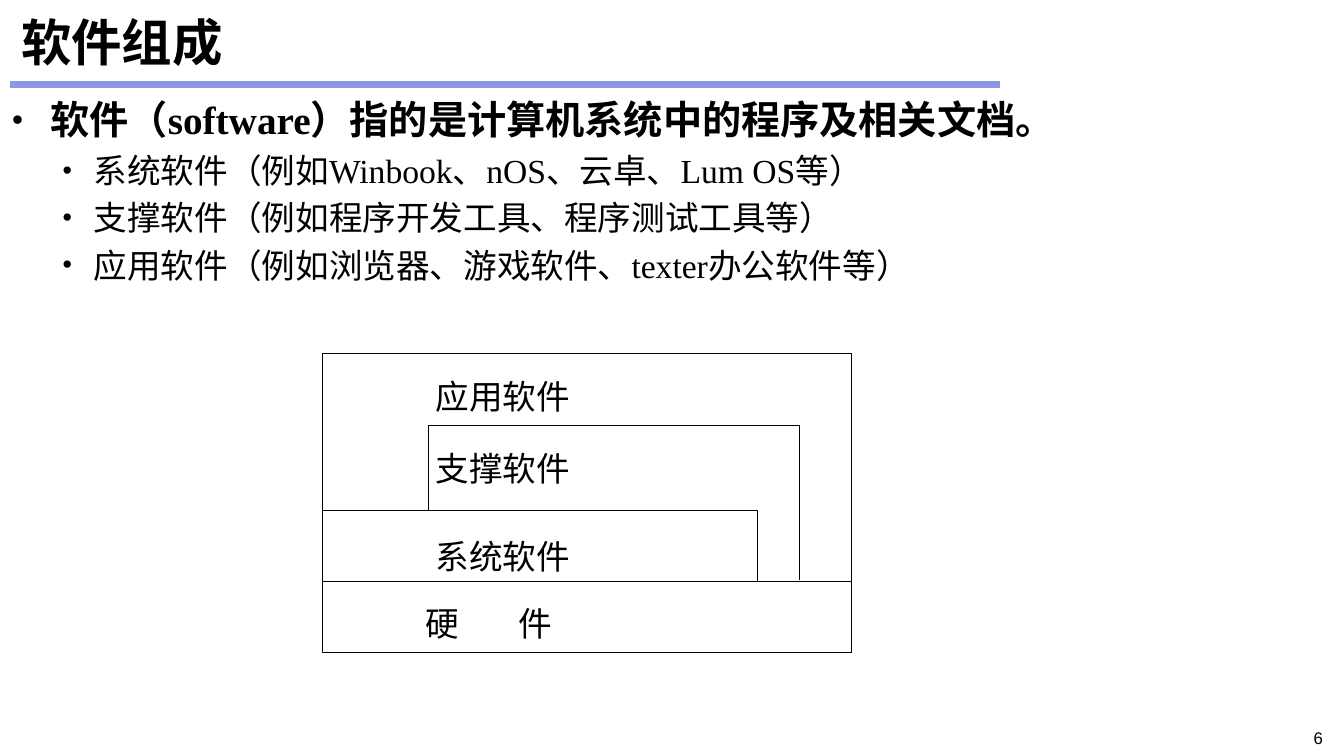
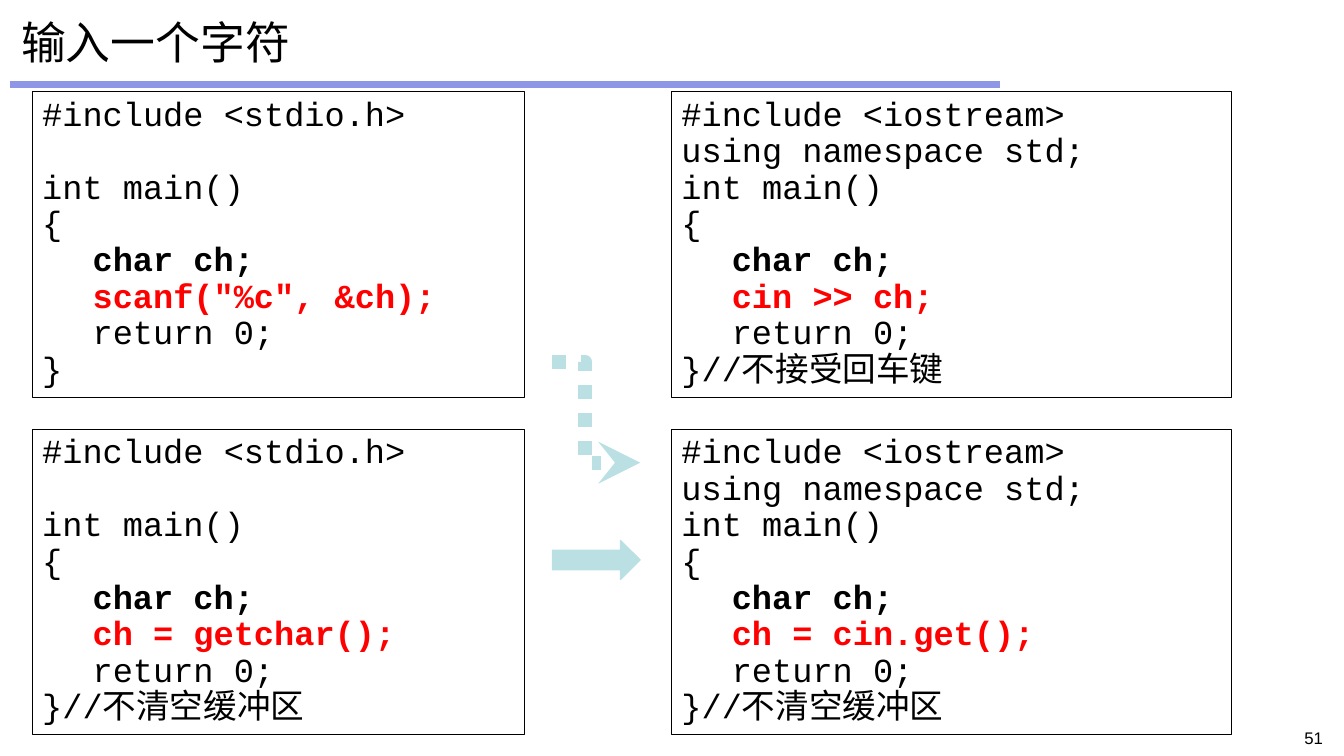
from lxml import etree
from pptx import Presentation
from pptx.dml.color import RGBColor
from pptx.enum.dml import MSO_LINE
from pptx.enum.shapes import MSO_CONNECTOR as Connector, MSO_SHAPE as Shape
from pptx.enum.text import MSO_ANCHOR as Anchor, PP_ALIGN as Align
from pptx.oxml.ns import qn
from pptx.util import Inches, Pt

# Shared look
BLACK, RED, RULE, ARROW = "000000", "FF0000", "8D97E5", "BBE0E3"
SERIF, SANS, LABEL, CODE = "Times New Roman", "Arial", "Montserrat", "Courier New"


def colour(value):
    return RGBColor.from_string(value)


def add_xml(parent, tag, **attributes):
    return etree.SubElement(parent, qn(tag), attributes)


def format_text(para, size, font, bold=False, hue=BLACK):
    for span in para.runs:
        span.font.size, span.font.name, span.font.bold = Pt(size), font, bold
        span.font.color.rgb = colour(hue)


def set_insets(frame, across, down):
    frame.margin_left = frame.margin_right = Inches(across)
    frame.margin_top = frame.margin_bottom = Inches(down)


# Elements
def add_line(page, start, end, hue=BLACK, width=0.75, kind=Connector.STRAIGHT):
    line = page.shapes.add_connector(kind, *map(Inches, start + end))
    line.line.color.rgb = colour(hue)
    line.line.width = Pt(width)
    add_xml(line._element.spPr, "a:effectLst")
    return line


def add_block(page, area, kind=Shape.RECTANGLE, fill=None, hue=BLACK):
    block = page.shapes.add_shape(kind, *map(Inches, area))
    block.shadow.inherit = False
    if fill:
        block.fill.solid()
        block.fill.fore_color.rgb = colour(fill)
    else:
        block.fill.background()
    block.line.color.rgb = colour(hue)
    block.line.width = Pt(0.75)
    return block


def add_text(page, area, text, size, font, align=Align.LEFT):
    box = page.shapes.add_textbox(*map(Inches, area))
    box.text_frame.word_wrap = True
    box.text_frame.text = text
    para = box.text_frame.paragraphs[0]
    para.alignment = align
    format_text(para, size, font)
    return para


def add_page(deck, title, number, size, bold=False):
    page = deck.slides.add_slide(deck.slide_layouts[5])
    add_line(page, (0.1, 0.84), (9.92, 0.84), RULE, 4.5)
    head = page.shapes.title
    head.left, head.top, head.width, head.height = map(Inches, (0.11, 0.08, 13.11, 0.67))
    frame = head.text_frame
    frame.text = title
    frame.vertical_anchor = Anchor.MIDDLE
    set_insets(frame, 0.1, 0.05)
    frame.paragraphs[0].alignment = Align.LEFT
    format_text(frame.paragraphs[0], size, SERIF, bold)
    add_text(page, (11.91, 7.17, 1.31, 0.25), str(number), 12, SANS, Align.RIGHT)
    return page


def add_bullets(page, area, heading, items):
    frame = page.shapes.add_textbox(*map(Inches, area)).text_frame
    frame.word_wrap = True
    set_insets(frame, 0.02, 0.01)
    frame.text = "\n".join([heading, *items])
    for index, para in enumerate(frame.paragraphs):
        indent, hang, size = (0.81, 0.31, 24) if index else (0.38, 0.38, 28)
        props = para._p.get_or_add_pPr()
        props.set("marL", str(Inches(indent)))
        props.set("indent", str(-Inches(hang)))
        add_xml(props, "a:buSzPct", val="80000")
        add_xml(props, "a:buFont", typeface=SANS)
        add_xml(props, "a:buChar", char="•")
        if index:
            para.level = 1
            para.space_before = Pt(5)
        format_text(para, size, SERIF, bold=index == 0)


def add_code(page, area, header, statement, ending):
    frame = add_block(page, area).text_frame
    frame.word_wrap = True
    frame.vertical_anchor = Anchor.TOP
    declaration, statement = "\tchar ch;", "\t" + statement
    frame.text = "\n".join([*header, "int main()", "{", declaration, statement,
                            "\treturn 0;", "}" + ending])
    for para in frame.paragraphs:
        para.alignment = Align.LEFT
        para.line_spacing = Pt(26)
        format_text(para, 24, CODE, para.text in (declaration, statement),
                    RED if para.text == statement else BLACK)
    if len(header) == 1:  # one line of air after a lone include
        frame.paragraphs[1].space_before = Pt(26)


# Slides
def add_software_page(deck):
    page = add_page(deck, "软件组成", 6, 36, bold=True)
    add_bullets(page, (0.1, 0.94, 13.12, 6.51),
                "软件（software）指的是计算机系统中的程序及相关文档。",
                ["系统软件（例如Winbook、nOS、云卓、Lum OS等）",
                 "支撑软件（例如程序开发工具、程序测试工具等）",
                 "应用软件（例如浏览器、游戏软件、texter办公软件等）"])

    # Nested layers
    left, right, ground = 3.2, 8.45, 5.77
    inner_left, inner_right, inner_top, system_top = 4.25, 7.93, 4.22, 5.06
    add_block(page, (left, 3.51, right - left, 2.96))
    add_line(page, (left, ground), (right, ground))
    add_block(page, (left, system_top, 4.31, ground - system_top))
    corners = [(inner_left, system_top), (inner_left, inner_top),
               (inner_right, inner_top), (inner_right, 5.75)]
    for start, end in zip(corners, corners[1:]):
        add_line(page, start, end)

    # Layer names
    for name, top in (("系统软件", 5.27), ("支撑软件", 4.39), ("应用软件", 3.68)):
        add_text(page, (4.22, top, 3.31, 0.5), name, 24, LABEL)
    hardware = add_text(page, (4.12, 5.93, 2.97, 0.5), "硬\t件", 24, LABEL)
    tabs = add_xml(hardware._p.get_or_add_pPr(), "a:tabLst")
    add_xml(tabs, "a:tab", pos=str(Inches(0.92)), algn="l")


def add_input_page(deck):
    page = add_page(deck, "输入一个字符", 51, 32)

    # Code: C on the left, C++ on the right
    c_header = ["#include <stdio.h>"]
    cpp_header = ["#include <iostream>", "using namespace std;"]
    columns = ((0.32, 4.88, c_header), (6.66, 5.55, cpp_header))
    rows = (
        (0.91, (('scanf("%c", &ch);', ""), ("cin >> ch;", "//不接受回车键"))),
        (4.26, (("ch = getchar();", "//不清空缓冲区"), ("ch = cin.get();", "//不清空缓冲区"))),
    )
    for top, cells in rows:
        for (left, width, header), (statement, ending) in zip(columns, cells):
            add_code(page, (left, top, width, 3.03), header, statement, ending)

    # Arrows between the columns
    add_block(page, (5.48, 5.36, 0.87, 0.39), Shape.RIGHT_ARROW, ARROW, ARROW)
    bend = add_line(page, (5.48, 3.59), (6.35, 4.59), ARROW, 10, Connector.ELBOW)
    bend.line.dash_style = MSO_LINE.ROUND_DOT
    add_xml(bend.line._get_or_add_ln(), "a:tailEnd", type="stealth")
    guides = bend._element.spPr.find(qn("a:prstGeom")).find(qn("a:avLst"))
    add_xml(guides, "a:gd", name="adj1", fmla="val 37500")


def main():
    deck = Presentation()
    deck.slide_width, deck.slide_height = Inches(13.33), Inches(7.5)
    add_software_page(deck)
    add_input_page(deck)
    deck.save("out.pptx")


if __name__ == "__main__":
    main()
